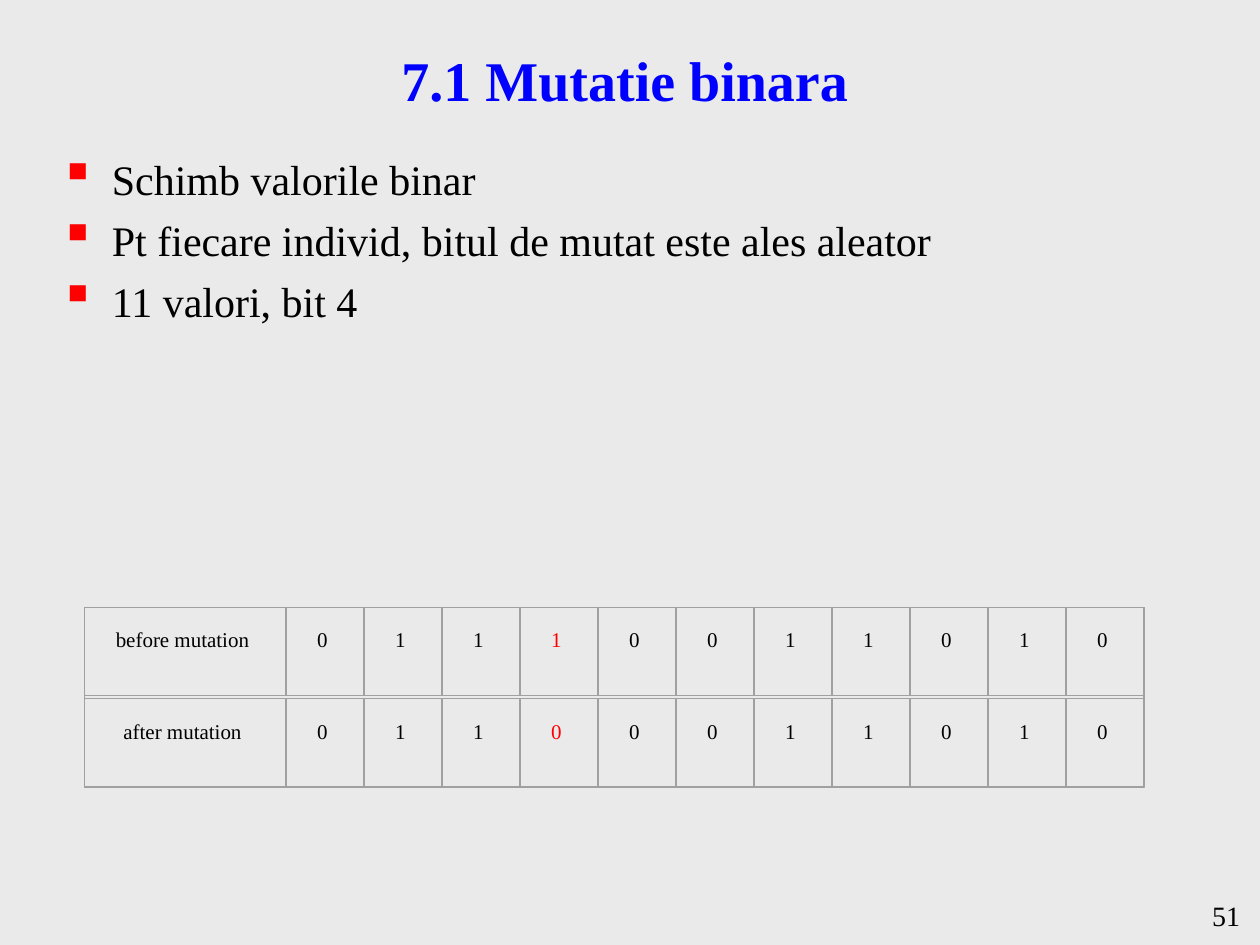
from dataclasses import dataclass

from lxml import etree
from pptx import Presentation
from pptx.dml.color import RGBColor
from pptx.enum.shapes import MSO_SHAPE
from pptx.enum.text import MSO_ANCHOR, PP_ALIGN
from pptx.oxml.ns import qn
from pptx.util import Inches, Pt

LEFT, CENTER, RIGHT = PP_ALIGN.LEFT, PP_ALIGN.CENTER, PP_ALIGN.RIGHT
MIDDLE = MSO_ANCHOR.MIDDLE
RECTANGLE = MSO_SHAPE.RECTANGLE
TITLE_ONLY = 5


@dataclass(frozen=True)
class Theme:
    font: str = "Times New Roman"
    bullet_font: str = "Wingdings"
    background: str = "EAEAEA"
    title: str = "0000FF"
    text: str = "000000"
    accent: str = "FF0000"
    grid: str = "A0A0A0"
    title_size: int = 32
    body_size: int = 24
    number_size: int = 16
    cell_size: int = 12


THEME = Theme()

BULLETS = [
    "Schimb valorile binar",
    "Pt fiecare individ, bitul de mutat este ales aleator",
    "11 valori, bit 4",
]
CHROMOSOMES = [
    ("before mutation", "01110011010"),
    ("after mutation", "01100011010"),
]
MUTATED_BIT = 4
GRID_LEFT, GRID_TOP, GRID_WIDTH, GRID_HEIGHT = 0.67, 4.82, 8.41, 1.43
LABEL_WIDTH, CELL_HEIGHT, ROW_PITCH = 1.6, 0.7, 0.725


def add_run(paragraph, text, size, color=THEME.text, bold=False, align=LEFT):
    paragraph.alignment = align
    run = paragraph.add_run()
    run.text = text
    run.font.name = THEME.font
    run.font.size = Pt(size)
    run.font.bold = bold
    run.font.color.rgb = RGBColor.from_string(color)


def set_bullet(paragraph):
    """Give the paragraph a hanging red square."""
    props = paragraph._p.get_or_add_pPr()
    props.set("marL", str(Inches(0.37)))
    props.set("indent", str(-Inches(0.37)))
    color = etree.SubElement(props, qn("a:buClr"))
    etree.SubElement(color, qn("a:srgbClr"), val=THEME.accent)
    etree.SubElement(props, qn("a:buSzPct"), val="130000")
    etree.SubElement(props, qn("a:buFont"), typeface=THEME.bullet_font,
                     charset="2")
    etree.SubElement(props, qn("a:buChar"), char="§")


def add_title(slide, text):
    title = slide.shapes.title
    title.left, title.top = Inches(0.42), Inches(0.25)
    title.width, title.height = Inches(9.08), Inches(0.75)
    title.text_frame.vertical_anchor = MIDDLE
    add_run(title.text_frame.paragraphs[0], text, THEME.title_size,
            THEME.title, bold=True, align=CENTER)


def add_text_frame(slide, left, top, width, height):
    box = slide.shapes.add_textbox(Inches(left), Inches(top),
                                   Inches(width), Inches(height))
    box.text_frame.word_wrap = True
    return box.text_frame


def add_bullets(slide, items):
    frame = add_text_frame(slide, 0.42, 1.17, 9.17, 6.08)
    for index, item in enumerate(items):
        paragraph = frame.add_paragraph() if index else frame.paragraphs[0]
        paragraph.space_before = Pt(6)
        set_bullet(paragraph)
        add_run(paragraph, item, THEME.body_size)


def add_slide_number(slide, number):
    frame = add_text_frame(slide, 9.33, 7.08, 0.61, 0.32)
    add_run(frame.paragraphs[0], number, THEME.number_size, align=RIGHT)


def add_outline(group, left, top, width, height, weight):
    outline = group.shapes.add_shape(RECTANGLE, Inches(left), Inches(top),
                                     Inches(width), Inches(height))
    outline.shadow.inherit = False
    outline.fill.background()
    outline.line.color.rgb = RGBColor.from_string(THEME.grid)
    outline.line.width = Pt(weight)
    return outline


def add_cell(group, left, top, width, text, color):
    cell = add_outline(group, left, top, width, CELL_HEIGHT, 0)
    frame = cell.text_frame
    frame.word_wrap = True
    frame.vertical_anchor = MIDDLE
    frame.margin_left, frame.margin_right = Inches(0.1), Inches(0.14)
    frame.margin_top, frame.margin_bottom = Inches(0.05), Inches(0.24)
    add_run(frame.paragraphs[0], text, THEME.cell_size, color, align=CENTER)


def add_mutation_grid(slide, chromosomes):
    """Draw one separately framed row per chromosome in a common frame."""
    group = slide.shapes.add_group_shape()
    for row, (label, bits) in enumerate(chromosomes):
        top = GRID_TOP + row * ROW_PITCH
        bit_width = (GRID_WIDTH - LABEL_WIDTH) / len(bits)
        add_cell(group, GRID_LEFT, top, LABEL_WIDTH, label, THEME.text)
        for position, bit in enumerate(bits, start=1):
            left = GRID_LEFT + LABEL_WIDTH + (position - 1) * bit_width
            color = THEME.accent if position == MUTATED_BIT else THEME.text
            add_cell(group, left, top, bit_width, bit, color)
    add_outline(group, GRID_LEFT, GRID_TOP, GRID_WIDTH, GRID_HEIGHT, 0.75)


def main():
    deck = Presentation()
    deck.slide_width, deck.slide_height = Inches(10), Inches(7.5)
    slide = deck.slides.add_slide(deck.slide_layouts[TITLE_ONLY])
    background = slide.background.fill
    background.solid()
    background.fore_color.rgb = RGBColor.from_string(THEME.background)

    add_title(slide, "7.1 Mutatie binara")
    add_bullets(slide, BULLETS)
    add_slide_number(slide, "51")
    add_mutation_grid(slide, CHROMOSOMES)
    deck.save("out.pptx")


if __name__ == "__main__":
    main()
